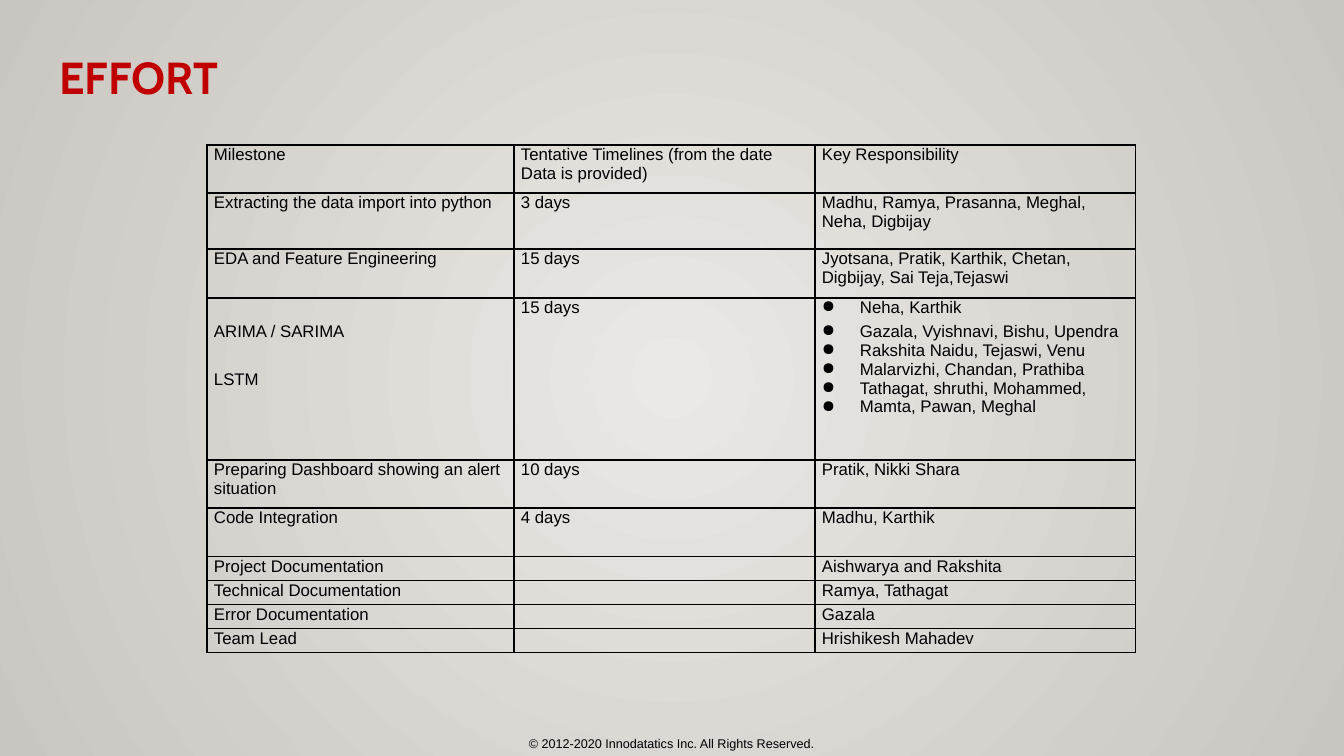
from lxml import etree
from pptx import Presentation
from pptx import util as u
from pptx.dml.color import RGBColor
from pptx.enum import text
from pptx.oxml.ns import qn

PX = 914400 / 100.8
BLACK = RGBColor(0x00, 0x00, 0x00)
RED = RGBColor(0xC0, 0x00, 0x00)
CENTRE_GREY = RGBColor(0xEB, 0xE9, 0xE6)
EDGE_GREY = RGBColor(0xC9, 0xC5, 0xC0)

COLUMNS = [307, 301, 321]
ROWS = [48, 56, 49, 162, 48, 49, 24, 24, 24, 24]
MODEL_ROW = 3
EFFORT = [
    ["Milestone", "Tentative Timelines (from the date Data is provided)", "Key Responsibility"],
    ["Extracting the data import into python", "3 days",
     "Madhu, Ramya, Prasanna, Meghal, Neha, Digbijay"],
    ["EDA and Feature Engineering", "15 days",
     "Jyotsana, Pratik, Karthik, Chetan, Digbijay, Sai Teja,Tejaswi"],
    [["ARIMA / SARIMA", "LSTM"], "15 days",
     ["Neha, Karthik", "Gazala, Vyishnavi, Bishu, Upendra", "Rakshita Naidu, Tejaswi, Venu",
      "Malarvizhi, Chandan, Prathiba", "Tathagat, shruthi, Mohammed,", "Mamta, Pawan, Meghal"]],
    ["Preparing Dashboard showing an alert situation", "10 days", "Pratik, Nikki Shara"],
    ["Code Integration", "4 days", "Madhu, Karthik"],
    ["Project Documentation", "", "Aishwarya and Rakshita"],
    ["Technical Documentation", "", "Ramya, Tathagat"],
    ["Error Documentation", "", "Gazala"],
    ["Team Lead", "", "Hrishikesh Mahadev"],
]


def px(length):
    return u.Emu(round(length * PX))


def add_bullet(para):
    props = para._p.get_or_add_pPr()
    props.set("marL", str(px(38)))
    props.set("indent", str(px(-38)))
    etree.SubElement(props, qn("a:buChar"), char="●")


def write(frame, content, size=12, font="Arial", color=BLACK, bold=False,
          align=text.PP_ALIGN.LEFT, line_spacing=None, second_gap=0, bullets=False):
    """Fill a text frame; second_gap is the space in points before paragraph two."""
    lines = content if isinstance(content, list) else [content]
    for index, line in enumerate(lines):
        para = frame.paragraphs[0] if index == 0 else frame.add_paragraph()
        para.alignment = align
        if line_spacing:
            para.line_spacing = line_spacing
        if index == 1 and second_gap:
            para.space_before = u.Pt(second_gap)
        if bullets:
            add_bullet(para)
        if not line:
            etree.SubElement(para._p, qn("a:endParaRPr"), sz=str(size * 100))
            continue
        span = para.add_run()
        span.text = line
        span.font.size = u.Pt(size)
        span.font.name = font
        span.font.bold = bold
        span.font.color.rgb = color


def paint_background(page):
    fill = page.background.fill
    fill.gradient()
    for stop, color in zip(fill.gradient_stops, (CENTRE_GREY, EDGE_GREY)):
        stop.color.rgb = color
    line = page.background._cSld.find(".//" + qn("a:lin"))
    radial = etree.Element(qn("a:path"), {"path": "circle"})
    etree.SubElement(radial, qn("a:fillToRect"), l="50000", t="50000", r="50000", b="50000")
    line.getparent().replace(line, radial)


def add_borders(cell):
    props = cell._tc.get_or_add_tcPr()
    for index, side in enumerate(("lnL", "lnR", "lnT", "lnB")):
        border = etree.Element(qn("a:" + side), w=str(u.Pt(1)))
        fill = etree.SubElement(border, qn("a:solidFill"))
        etree.SubElement(fill, qn("a:srgbClr"), val=str(BLACK))
        props.insert(index, border)


def add_title(page, content):
    box = page.shapes.title
    box.left, box.top, box.width, box.height = px(49), px(51), px(1039), px(76)
    box.text_frame.vertical_anchor = text.MSO_ANCHOR.TOP
    write(box.text_frame, content, size=32, font="Cabin", color=RED, bold=True, line_spacing=0.9)


def add_effort_table(page):
    table = page.shapes.add_table(len(ROWS), len(COLUMNS), px(207), px(145),
                                  px(sum(COLUMNS)), px(sum(ROWS))).table
    table.first_row = table.horz_banding = False
    for column, width in zip(table.columns, COLUMNS):
        column.width = px(width)
    for row, height in zip(table.rows, ROWS):
        row.height = px(height)
    for r, entries in enumerate(EFFORT):
        for c, content in enumerate(entries):
            cell = table.cell(r, c)
            cell.fill.background()
            cell.margin_left = cell.margin_right = px(7)
            cell.margin_top = cell.margin_bottom = 0
            add_borders(cell)
            if r == MODEL_ROW and c == 0:
                cell.margin_top = px(24)
                write(cell.text_frame, content, second_gap=21)
            elif r == MODEL_ROW and c == 2:
                write(cell.text_frame, content, second_gap=4, bullets=True)
            else:
                write(cell.text_frame, content)


def add_copyright(page, content):
    box = page.shapes.add_textbox(px(455), px(731), px(433), px(25))
    box.text_frame.word_wrap = True
    write(box.text_frame, content, size=9, align=text.PP_ALIGN.CENTER)


def main():
    deck = Presentation()
    deck.slide_width, deck.slide_height = px(1344), px(756)
    page = deck.slides.add_slide(deck.slide_layouts[5])
    paint_background(page)
    add_effort_table(page)
    add_copyright(page, "© 2012-2020 Innodatatics Inc. All Rights Reserved.")
    add_title(page, "EFFORT")
    deck.save("out.pptx")


if __name__ == "__main__":
    main()
